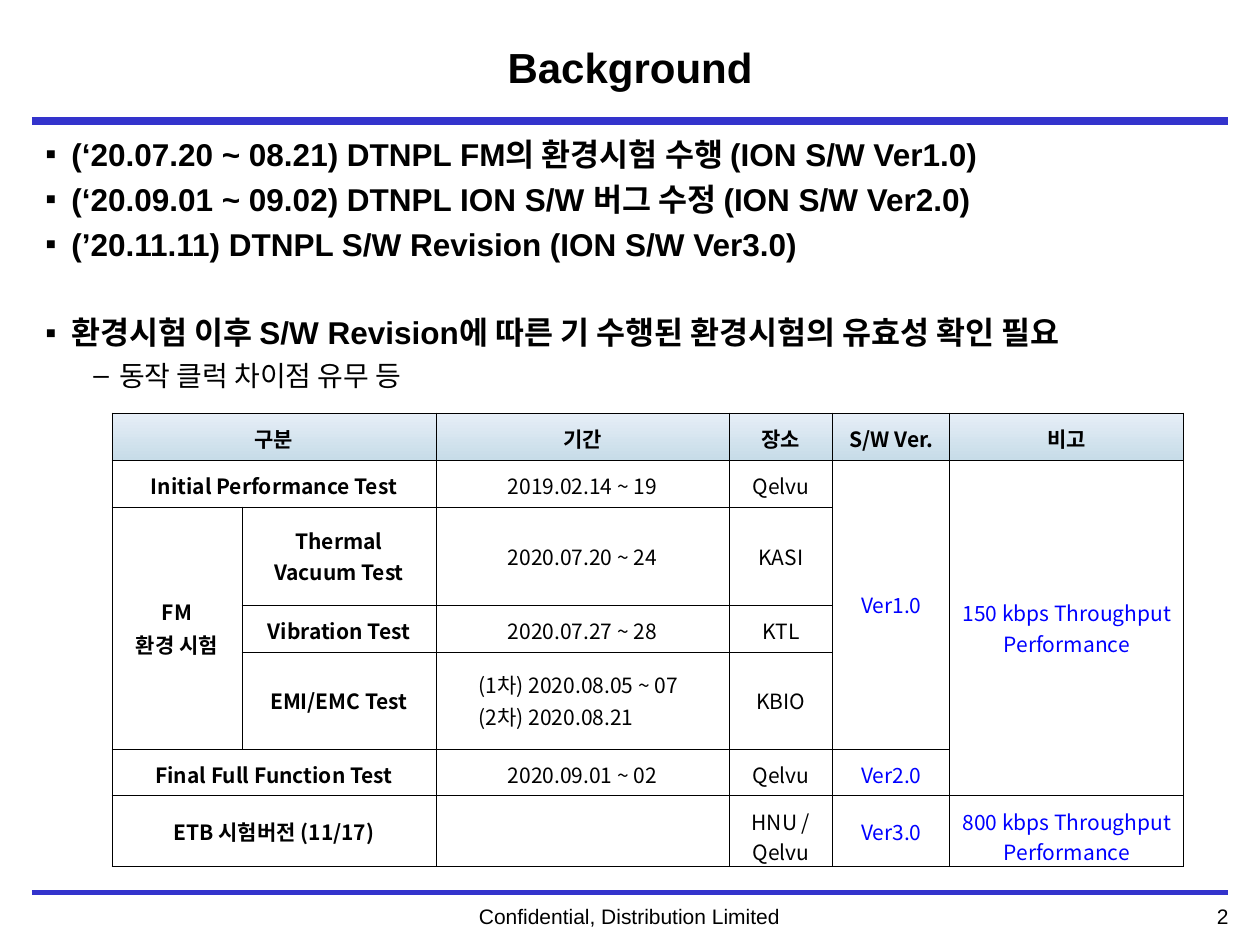
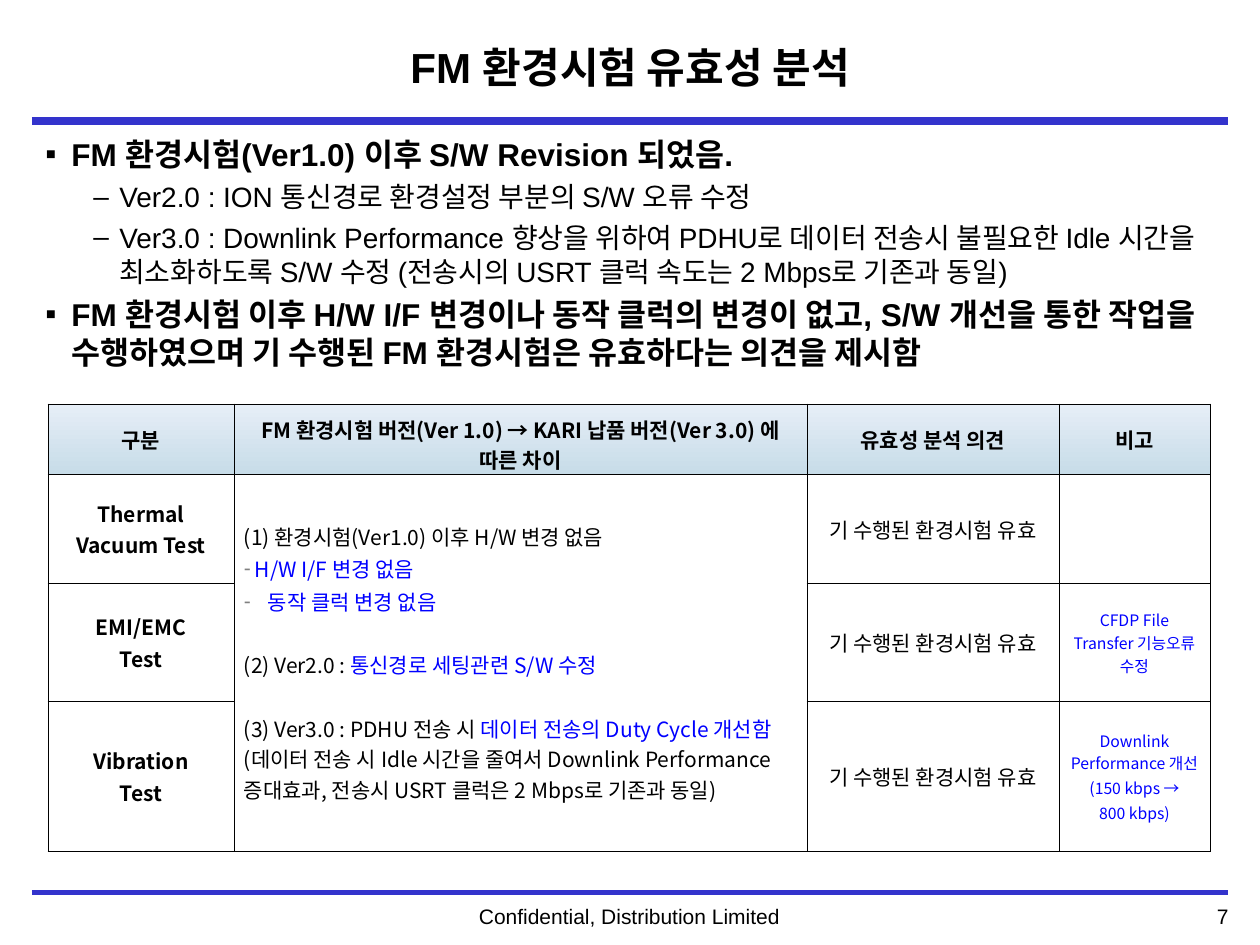
import pptx
import pptx.util
import pptx.dml.color
import pptx.enum.shapes
import pptx.enum.text
import pptx.oxml.ns
import lxml.etree

PX_PER_INCH = 126
COLORS = {
    "text": "000000",
    "rule": "3333CC",
    "accent": "0000FF",
    "dash": "808080",
    "cell": "FFFFFF",
    "header_top": "E6EEF7",
    "header_bottom": "C7DCE8",
}
TEXT_FONT = "Arial"
TABLE_FONT = "Noto Sans CJK KR"
ALIGN = pptx.enum.text.PP_ALIGN
MIDDLE = pptx.enum.text.MSO_ANCHOR.MIDDLE

BOLD = {"bold": True}
PLAIN = {}
BLUE = {"color": "accent"}
SMALL_BLUE = {"color": "accent", "size": 9}


def px(length):
    return pptx.util.Emu(round(length * 914400 / PX_PER_INCH))


def rgb(name):
    return pptx.dml.color.RGBColor.from_string(COLORS[name])


def add_xml(parent, tag, **attributes):
    return lxml.etree.SubElement(parent, pptx.oxml.ns.qn(tag), attributes)


def format_paragraph(paragraph, size, font=TEXT_FONT, bold=False, color="text",
                     align=ALIGN.LEFT):
    paragraph.alignment = align
    paragraph.font.name = font
    paragraph.font.size = pptx.util.Pt(size)
    paragraph.font.bold = bold
    paragraph.font.color.rgb = rgb(color)


def set_indent(paragraph, left, hanging=0):
    properties = paragraph._p.get_or_add_pPr()
    properties.set("marL", str(px(left)))
    properties.set("indent", str(-px(hanging)))
    return properties


def add_bullet(paragraph, mark, left, hanging, color="text"):
    properties = set_indent(paragraph, left, hanging)
    mark_color = add_xml(properties, "a:buClr")
    add_xml(mark_color, "a:srgbClr", val=COLORS[color])
    add_xml(properties, "a:buFont", typeface=TEXT_FONT)
    add_xml(properties, "a:buChar", char=mark)


def next_paragraph(frame, index):
    return frame.add_paragraph() if index else frame.paragraphs[0]


def add_rule(slide, y, width):
    rule = slide.shapes.add_connector(
        pptx.enum.shapes.MSO_CONNECTOR.STRAIGHT, px(32), px(y), px(1228), px(y))
    rule.line.color.rgb = rgb("rule")
    rule.line.width = pptx.util.Pt(width)
    add_xml(rule._element.spPr, "a:effectLst")


def add_text_box(slide, left, top, width, height):
    frame = slide.shapes.add_textbox(
        px(left), px(top), px(width), px(height)).text_frame
    frame.word_wrap = True
    return frame


def add_footer(slide, left, width, text, align):
    paragraph = add_text_box(slide, left, 897, width, 38).paragraphs[0]
    paragraph.text = text
    format_paragraph(paragraph, 12, align=align)


def add_page(deck, heading, number):
    slide = deck.slides.add_slide(deck.slide_layouts[5])
    for y, width in ((893, 2), (892, 2), (121, 4.5)):
        add_rule(slide, y, width)
    add_footer(slide, 1037, 204, number, ALIGN.RIGHT)
    add_footer(slide, 309, 641, "Confidential, Distribution Limited", ALIGN.CENTER)
    title = slide.shapes.title
    title.left, title.top, title.width, title.height = map(px, (168, 18, 924, 97))
    title.text_frame.text = heading
    title.text_frame.vertical_anchor = MIDDLE
    title.text_frame.auto_size = pptx.enum.text.MSO_AUTO_SIZE.NONE
    format_paragraph(title.text_frame.paragraphs[0], 24, bold=True, align=ALIGN.CENTER)
    return slide


def add_points(slide, height, points):
    frame = add_text_box(slide, 33, 129, 1194, height)
    for index, (level, text, gap) in enumerate(points):
        paragraph = next_paragraph(frame, index)
        paragraph.text = text
        paragraph.level = level
        paragraph.space_before = pptx.util.Pt(gap if index else 0)
        add_bullet(paragraph, "▪–"[level], 26 + 48 * level, 26)
        format_paragraph(paragraph, 18 - 2 * level, bold=level == 0)


def format_cell(cell, is_header):
    cell.margin_left = cell.margin_right = px(10)
    cell.margin_top = cell.margin_bottom = px(10)
    cell.vertical_anchor = MIDDLE
    properties = cell._tc.get_or_add_tcPr()
    for side in ("a:lnL", "a:lnR", "a:lnT", "a:lnB"):
        border = add_xml(properties, side, w=str(pptx.util.Pt(0.5)))
        add_xml(add_xml(border, "a:solidFill"), "a:srgbClr", val=COLORS["text"])
    if is_header:
        cell.fill.gradient()
        cell.fill.gradient_angle = 270
        for stop, color in zip(cell.fill.gradient_stops, ("header_top", "header_bottom")):
            stop.color.rgb = rgb(color)
    else:
        cell.fill.solid()
        cell.fill.fore_color.rgb = rgb("cell")


def write_cell(cell, text, style):
    for index, line in enumerate(text.split("\n")):
        paragraph = next_paragraph(cell.text_frame, index)
        paragraph.text = line
        paragraph.space_after = pptx.util.Pt(1)
        format_paragraph(paragraph, **{"size": 12, "font": TABLE_FONT,
                                       "align": ALIGN.CENTER, **style})


def add_test_table(slide, left, top, widths, heights, rows, column_styles, merges):
    table = slide.shapes.add_table(
        len(heights), len(widths), px(left), px(top),
        px(sum(widths)), px(sum(heights))).table
    table.first_row = table.horz_banding = False
    for column, width in zip(table.columns, widths):
        column.width = px(width)
    for row, height in zip(table.rows, heights):
        row.height = px(height)
    for first, last in merges:
        table.cell(*first).merge(table.cell(*last))
    for r, texts in enumerate(rows):
        for c, text in enumerate(texts):
            cell = table.cell(r, c)
            format_cell(cell, r == 0)
            if text:
                write_cell(cell, text, BOLD if r == 0 else column_styles[c])
    return table


def write_differences(cell, differences):
    for index, (runs, gap, indent) in enumerate(differences):
        paragraph = next_paragraph(cell.text_frame, index)
        paragraph.space_before = pptx.util.Pt(gap)
        paragraph.space_after = pptx.util.Pt(1)
        if indent:
            add_bullet(paragraph, "-", indent, indent, "dash")
        format_paragraph(paragraph, 12, TABLE_FONT, color=runs[0][1])
        for text, color in runs:
            run = paragraph.add_run()
            run.text = text
            if color != runs[0][1]:
                run.font.color.rgb = rgb(color)


def build_background(deck):
    slide = add_page(deck, "Background", "2")
    rows = [
        ["구분", None, "기간", "장소", "S/W Ver.", "비고"],
        ["Initial Performance Test", None, "2019.02.14 ~ 19", "Qelvu", "Ver1.0",
         "150 kbps Throughput Performance"],
        ["FM\n환경 시험", "Thermal Vacuum Test", "2020.07.20 ~ 24", "KASI", None, None],
        [None, "Vibration Test", "2020.07.27 ~ 28", "KTL", None, None],
        [None, "EMI/EMC Test", "(1차) 2020.08.05 ~ 07\n(2차) 2020.08.21", "KBIO",
         None, None],
        ["Final Full Function Test", None, "2020.09.01 ~ 02", "Qelvu", "Ver2.0", None],
        ["ETB 시험버전 (11/17)", None, None, "HNU / Qelvu", "Ver3.0",
         "800 kbps Throughput Performance"],
    ]
    merges = [((r, 0), (r, 1)) for r in (0, 1, 5, 6)]
    merges += [((2, 0), (4, 0)), ((1, 4), (4, 4)), ((1, 5), (5, 5))]
    schedule = add_test_table(
        slide, 112, 413, [130, 194, 293, 104, 117, 234], [47, 47, 98, 47, 97, 47, 71],
        rows, [BOLD, BOLD, PLAIN, PLAIN, BLUE, BLUE], merges)
    for period in schedule.cell(4, 2).text_frame.paragraphs:
        period.alignment = ALIGN.LEFT
        set_indent(period, 33)
    add_points(slide, 272, [
        (0, "(‘20.07.20 ~ 08.21) DTNPL FM의 환경시험 수행 (ION S/W Ver1.0)", 0),
        (0, "(‘20.09.01 ~ 09.02) DTNPL ION S/W 버그 수정 (ION S/W Ver2.0)", 4),
        (0, "(’20.11.11) DTNPL S/W Revision (ION S/W Ver3.0)", 4),
        (0, "환경시험 이후 S/W Revision에 따른 기 수행된 환경시험의 유효성 확인 필요", 29),
        (1, "동작 클럭 차이점 유무 등", 4),
    ])


def build_validity(deck):
    slide = add_page(deck, "FM 환경시험 유효성 분석", "7")
    add_points(slide, 723, [
        (0, "FM 환경시험(Ver1.0) 이후 S/W Revision 되었음.", 0),
        (1, "Ver2.0 : ION 통신경로 환경설정 부분의 S/W 오류 수정", 4),
        (1, "Ver3.0 : Downlink Performance 향상을 위하여 PDHU로 데이터 전송시 불필요한 Idle "
            "시간을 최소화하도록 S/W 수정 (전송시의 USRT 클럭 속도는 2 Mbps로 기존과 동일)", 4),
        (0, "FM 환경시험 이후 H/W I/F 변경이나 동작 클럭의 변경이 없고, S/W 개선을 통한 "
            "작업을 수행하였으며 기 수행된 FM 환경시험은 유효하다는 의견을 제시함", 4),
    ])
    opinion = "기 수행된 환경시험 유효"
    rows = [
        ["구분", "FM 환경시험 버전(Ver 1.0) → KARI 납품 버전(Ver 3.0) 에 따른 차이",
         "유효성 분석 의견", "비고"],
        ["Thermal Vacuum Test", None, opinion, None],
        ["EMI/EMC\nTest", None, opinion, "CFDP File Transfer 기능오류 수정"],
        ["Vibration\nTest", None, opinion,
         "Downlink Performance 개선\n(150 kbps →\n800 kbps)"],
    ]
    analysis = add_test_table(
        slide, 48, 404, [186, 573, 252, 151], [69, 109, 118, 150],
        rows, [BOLD, PLAIN, PLAIN, SMALL_BLUE], [((1, 1), (3, 1))])
    write_differences(analysis.cell(1, 1), [
        ([("(1) 환경시험(Ver1.0) 이후 H/W 변경 없음", "text")], 0, 0),
        ([("H/W I/F 변경 없음", "accent")], 0, 11),
        ([("동작 클럭 변경 없음", "accent")], 0, 24),
        ([("(2) Ver2.0 : ", "text"), ("통신경로 세팅관련 S/W 수정", "accent")], 18, 0),
        ([("(3) Ver3.0 : PDHU 전송 시 ", "text"),
          ("데이터 전송의 Duty Cycle 개선함 ", "accent"),
          ("(데이터 전송 시 Idle 시간을 줄여서 Downlink Performance 증대효과, "
           "전송시 USRT 클럭은 2 Mbps로 기존과 동일)", "text")], 18, 0),
    ])


def main():
    deck = pptx.Presentation()
    deck.slide_width = px(1260)
    deck.slide_height = px(945)
    build_background(deck)
    build_validity(deck)
    deck.save("out.pptx")


if __name__ == "__main__":
    main()
